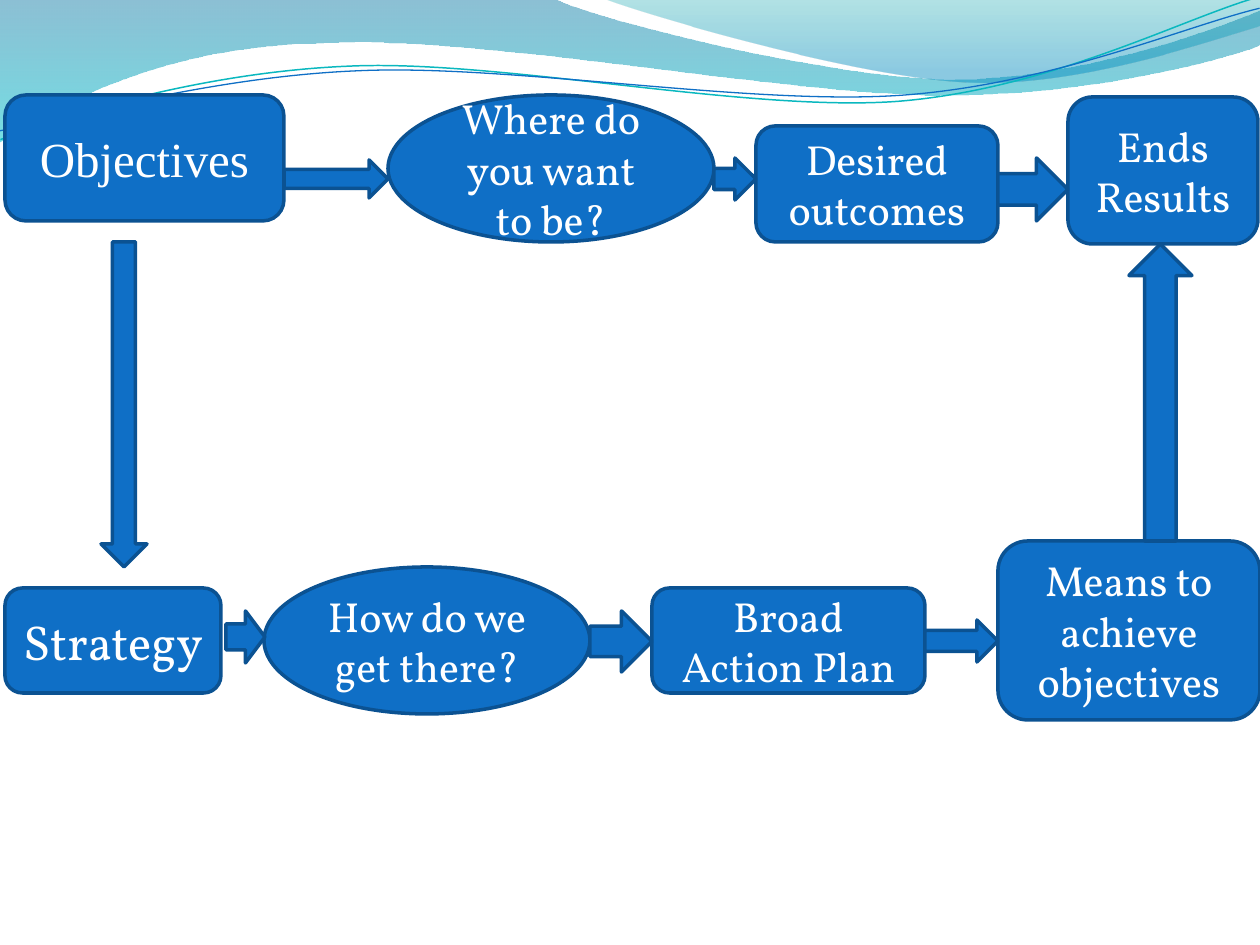
from dataclasses import dataclass

from lxml.etree import SubElement
from pptx import Presentation
from pptx.dml.color import RGBColor
from pptx.enum.shapes import MSO_SHAPE
from pptx.enum.text import MSO_ANCHOR, PP_ALIGN
from pptx.oxml.ns import qn
from pptx.util import Emu, Pt

PX = 914400 / 126  # EMU in one px


@dataclass(frozen=True)
class Theme:
    blue: str = "0F6FC6"
    outline: str = "0B5292"
    white: str = "FFFFFF"
    teal: str = "0AB8BF"
    # Gradient stops: position, colour, opacity in percent
    back_wave: tuple = ((0, "0074A1", 45), (1, "00C6CF", 55))
    front_wave: tuple = ((0, "00A1A9", 30), (0.8, "008BBF", 45))
    heading: int = 28
    body: int = 24
    serif: str = "Times New Roman"
    font: str = "Vollkorn"
    border: float = 2


THEME = Theme()
ROUND, OVAL = MSO_SHAPE.ROUNDED_RECTANGLE, MSO_SHAPE.OVAL
RIGHT, DOWN, UP = MSO_SHAPE.RIGHT_ARROW, MSO_SHAPE.DOWN_ARROW, MSO_SHAPE.UP_ARROW
STRAND_TILT = 357.3


def emu(px):
    return Emu(round(px * PX))


def rgb(colour):
    return RGBColor.from_string(colour)


def add_outline(slide, box, start, segments, close):
    """Draw lines (one point) and cubic curves (two controls and an end)."""
    left, top = box[:2]
    points = [(emu(left + x), emu(top + y))
              for x, y in (start, *(point for segment in segments for point in segment))]
    builder = slide.shapes.build_freeform(*points[0], scale=1.0)
    builder.add_line_segments(points[1:], close=close)
    outline = builder.convert_to_shape()
    outline.shadow.inherit = False

    # Merge each group of three lines into one curve
    lines = iter(list(outline._element.iter(qn("a:lnTo"))))
    for segment in segments:
        curve = next(lines)
        if len(segment) == 3:
            curve.tag = qn("a:cubicBezTo")
            for _ in range(2):
                extra = next(lines)
                curve.append(extra[0])
                extra.getparent().remove(extra)
    return outline


def add_wave(slide, box, stops, start, segments):
    wave = add_outline(slide, box, start, segments, close=True)
    wave.line.fill.background()
    wave.fill.gradient()
    wave.fill.gradient_angle = 270
    for stop, (position, colour, opacity) in zip(wave.fill.gradient_stops, stops):
        stop.position = position
        stop.color.rgb = rgb(colour)
    colours = wave.fill._xPr.iter(qn("a:srgbClr"))
    for element, (position, colour, opacity) in zip(colours, stops):
        SubElement(element, qn("a:alpha")).set("val", str(opacity * 1000))


def add_strand(slide, box, colour, width, start, segments):
    strand = add_outline(slide, box, start, segments, close=False)
    strand.rotation = STRAND_TILT
    strand.fill.background()
    strand.line.color.rgb = rgb(colour)
    strand.line.width = Pt(width)


def add_banner(slide, box):
    # Translucent waves
    add_wave(slide, box, THEME.back_wave, (0, 0), [
        ((554, -1),),
        ((600, 21), (837, 79), (955, 79)),
        ((1074, 79), (1207, 33), (1260, 11)),
        ((1261, 45),),
        ((1239, 55), (1096, 96), (940, 95)),
        ((784, 95), (481, 35), (324, 43)),
        ((163, 45), (58, 105), (-1, 142))])
    add_wave(slide, box, THEME.front_wave, (604, -1), [
        ((641, 14), (859, 78), (969, 82)),
        ((1079, 87), (1211, 40), (1260, 26)),
        ((1260, 0),)])
    # Thin strands, level before the tilt
    add_strand(slide, box, THEME.teal, 0.85, (-2, 110), [
        ((58, 90), (200, 52), (350, 53)),
        ((499, 53), (745, 118), (896, 114)),
        ((1049, 109), (1184, 45), (1260, 27))])
    add_strand(slide, box, THEME.blue, 0.75, (-2, 101), [
        ((57, 94), (207, 57), (358, 58)),
        ((509, 58), (750, 112), (902, 108)),
        ((1052, 104), (1188, 52), (1262, 38))])


def add_block(slide, box, preset, place):
    left, top, width, height = place
    block = slide.shapes.add_shape(preset, emu(box[0] + left), emu(box[1] + top),
                                   emu(width), emu(height))
    block.shadow.inherit = False
    block.fill.solid()
    block.fill.fore_color.rgb = rgb(THEME.blue)
    block.line.color.rgb = rgb(THEME.outline)
    block.line.width = Pt(THEME.border)
    return block


def add_step(slide, box, preset, place, words, size=THEME.body, font=THEME.font):
    frame = add_block(slide, box, preset, place).text_frame
    frame.word_wrap = True
    frame.vertical_anchor = MSO_ANCHOR.MIDDLE
    paragraph = frame.paragraphs[0]
    paragraph.alignment = PP_ALIGN.CENTER
    run = paragraph.add_run()
    run.text = words
    run.font.size = Pt(size)
    run.font.name = font
    run.font.color.rgb = rgb(THEME.white)


def add_objectives_row(slide, box):
    add_step(slide, box, ROUND, (5, 0, 279, 126), "Objectives", THEME.heading, THEME.serif)
    add_step(slide, box, OVAL, (388, 0, 326, 147), "Where do you want to be?")
    add_step(slide, box, ROUND, (756, 31, 242, 116), "Desired outcomes")
    add_step(slide, box, ROUND, (1068, 2, 190, 147), "Ends Results")
    for place in ((284, 65, 104, 38), (714, 63, 42, 42), (998, 63, 70, 63)):
        add_block(slide, box, RIGHT, place)


def add_strategy_row(slide, box):
    add_step(slide, box, ROUND, (5, 47, 216, 105), "Strategy", THEME.heading)
    add_step(slide, box, OVAL, (264, 26, 326, 147), "How do we get there?")
    add_step(slide, box, ROUND, (652, 47, 273, 105), "Broad Action Plan")
    add_step(slide, box, ROUND, (998, 0, 262, 179), "Means to achieve objectives")
    for place in ((226, 70, 39, 52), (590, 70, 62, 61), (925, 79, 73, 42)):
        add_block(slide, box, RIGHT, place)


def add_row_links(slide, box):
    add_block(slide, box, DOWN, (101, 0, 46, 325))
    add_block(slide, box, UP, (1129, 2, 63, 297))


def main():
    deck = Presentation()
    deck.slide_width, deck.slide_height = emu(1260), emu(945)
    slide = deck.slides.add_slide(deck.slide_layouts[6])
    add_banner(slide, (0, 0, 1260, 142))
    add_objectives_row(slide, (0, 95, 1260, 149))
    add_strategy_row(slide, (0, 541, 1260, 179))
    add_row_links(slide, (0, 242, 1260, 325))
    deck.save("out.pptx")


if __name__ == "__main__":
    main()
